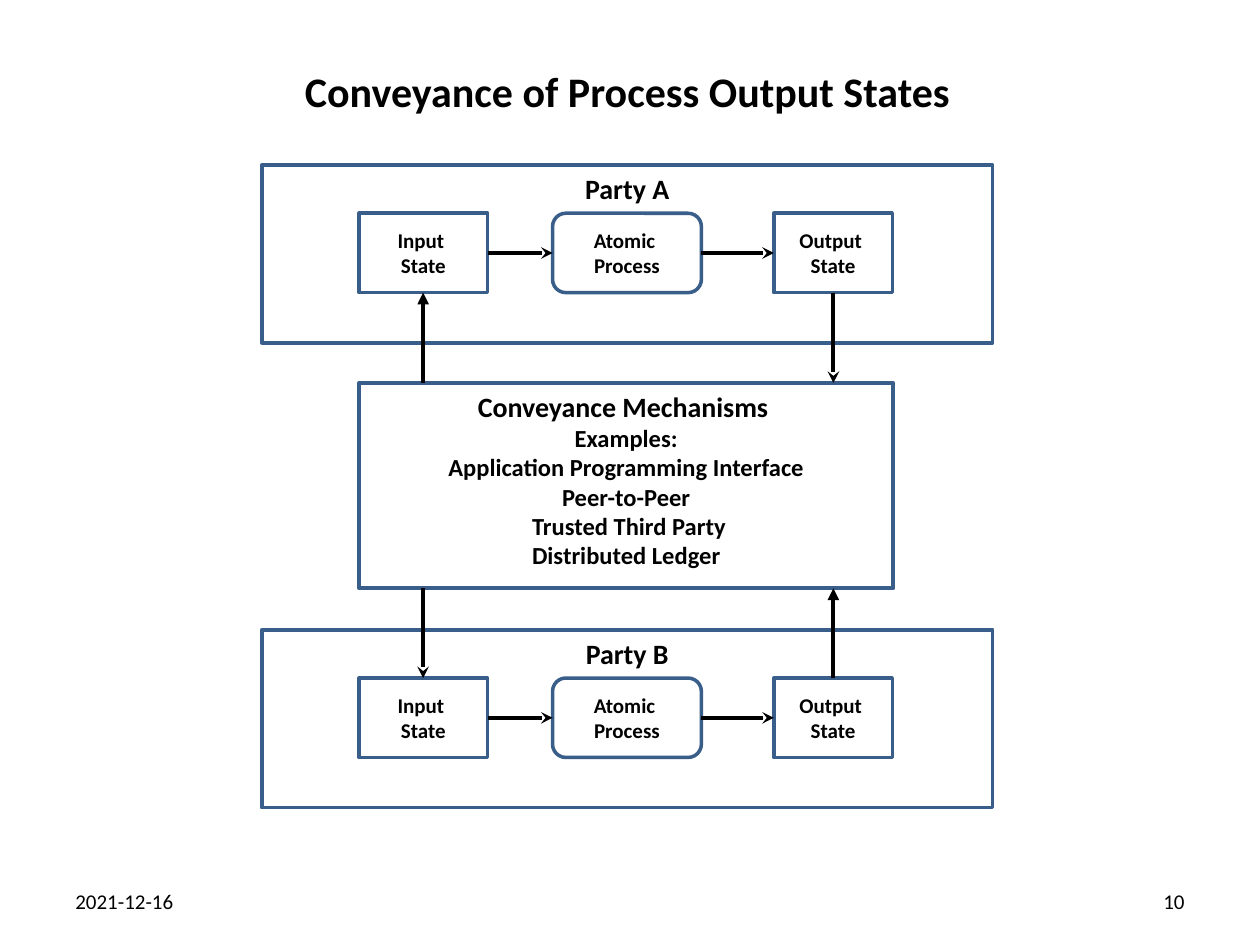
from lxml.etree import SubElement
from pptx import Presentation
from pptx.dml.color import RGBColor
from pptx.enum.shapes import MSO_CONNECTOR, MSO_SHAPE
from pptx.enum.text import MSO_ANCHOR, PP_ALIGN
from pptx.oxml.ns import qn
from pptx.util import Cm, Pt

BLACK, WHITE, BLUE = "000000", "FFFFFF", "395E89"
BOX_OFFSET, BOX_HEIGHT = 0.97, 1.6


def color(value):
    """Turn a hex string into a colour."""
    return RGBColor.from_string(value)


def add_text(tf, text, size=12, bold=True, align=PP_ALIGN.CENTER,
             anchor=MSO_ANCHOR.MIDDLE, first_size=None):
    """Write paragraphs split by newline, with line breaks at vertical tabs."""
    tf.word_wrap = True
    tf.vertical_anchor = anchor
    for i, paragraph in enumerate(text.split("\n")):
        p = tf.add_paragraph() if i else tf.paragraphs[0]
        p.alignment = align
        for j, part in enumerate(paragraph.split("\v")):
            if j:
                p.add_line_break()
            r = p.add_run()
            r.text = part
            r.font.name = "Calibri"
            r.font.size = Pt(first_size if first_size and not i else size)
            r.font.bold = bold
            r.font.color.rgb = color(BLACK)


def add_label(s, x, y, w, h, text, **fmt):
    """Add a plain text box."""
    tb = s.shapes.add_textbox(Cm(x), Cm(y), Cm(w), Cm(h))
    add_text(tb.text_frame, text, **fmt)


def add_box(s, x, y, w, h, text, kind=MSO_SHAPE.RECTANGLE, fill=WHITE,
            weight=2, **fmt):
    """Add an outlined box with text."""
    sp = s.shapes.add_shape(kind, Cm(x), Cm(y), Cm(w), Cm(h))
    sp.shadow.inherit = False
    if fill:
        sp.fill.solid()
        sp.fill.fore_color.rgb = color(fill)
    else:
        sp.fill.background()
    sp.line.color.rgb = color(BLUE)
    sp.line.width = Pt(weight)
    add_text(sp.text_frame, text, **fmt)
    return sp


def add_arrow(s, x1, y1, x2, y2, head=None, tail=None):
    """Add a line with an arrowhead at its start (head) or end (tail)."""
    cx = s.shapes.add_connector(MSO_CONNECTOR.STRAIGHT,
                                Cm(x1), Cm(y1), Cm(x2), Cm(y2))
    cx.line.color.rgb = color(BLACK)
    cx.line.width = Pt(2.25)
    ln = cx.line._get_or_add_ln()
    for tag, style in (("a:headEnd", head), ("a:tailEnd", tail)):
        if style:
            SubElement(ln, qn(tag)).set("type", style)
    SubElement(cx._element.spPr, qn("a:effectLst"))
    return cx


def add_party(s, name, top):
    """Add a party frame with its chain of input, process and output."""
    add_box(s, 5.28, top, 14.73, 3.58, name, fill=None, weight=2.25,
            size=16, anchor=MSO_ANCHOR.TOP)
    steps = (
        ("Input \vState", 7.24, 2.59, MSO_SHAPE.RECTANGLE),
        ("Atomic \vProcess", 11.14, 3, MSO_SHAPE.ROUNDED_RECTANGLE),
        ("Output \vState", 15.6, 2.39, MSO_SHAPE.RECTANGLE),
    )
    y = top + BOX_OFFSET
    boxes = [add_box(s, x, y, w, BOX_HEIGHT, text, kind)
             for text, x, w, kind in steps]
    for left, right in zip(boxes, boxes[1:]):
        cx = add_arrow(s, 0, y, 1, y, tail="stealth")
        cx.begin_connect(left, 3)
        cx.end_connect(right, 1)


def main():
    """Build the slide."""
    prs = Presentation()
    prs.slide_width, prs.slide_height = Cm(25.4), Cm(19.05)
    s = prs.slides.add_slide(prs.slide_layouts[6])

    add_label(s, 1.22, 1.14, 22.86, 1.37,
              "Conveyance of Process Output States", size=24)
    top_a, top_b = 3.33, 12.7
    add_party(s, "Party A", top_a)
    add_party(s, "Party B", top_b)

    mech_top, mech_height = 7.72, 4.14
    add_box(s, 7.24, mech_top, 10.77, mech_height,
            "Conveyance Mechanisms \nExamples:\n"
            "Application Programming Interface\nPeer-to-Peer\n"
            " Trusted Third Party\nDistributed Ledger",
            weight=2.25, size=14, first_size=16, anchor=MSO_ANCHOR.TOP)

    input_x, output_x = 8.53, 16.8
    above = (top_a + BOX_OFFSET + BOX_HEIGHT, mech_top)
    below = (mech_top + mech_height, top_b + BOX_OFFSET)
    for x, (start, end), ends in (
            (input_x, above, {"head": "triangle"}),
            (output_x, above, {"tail": "stealth"}),
            (input_x, below, {"tail": "stealth"}),
            (output_x, below, {"head": "triangle"})):
        add_arrow(s, x, start, x, end, **ends)

    add_label(s, 1.27, 17.65, 5.92, 1.02, "2021-12-16", bold=False,
              align=PP_ALIGN.LEFT)
    add_label(s, 18.21, 17.65, 5.92, 1.02, "10", bold=False,
              align=PP_ALIGN.RIGHT)
    prs.save("out.pptx")


main()
